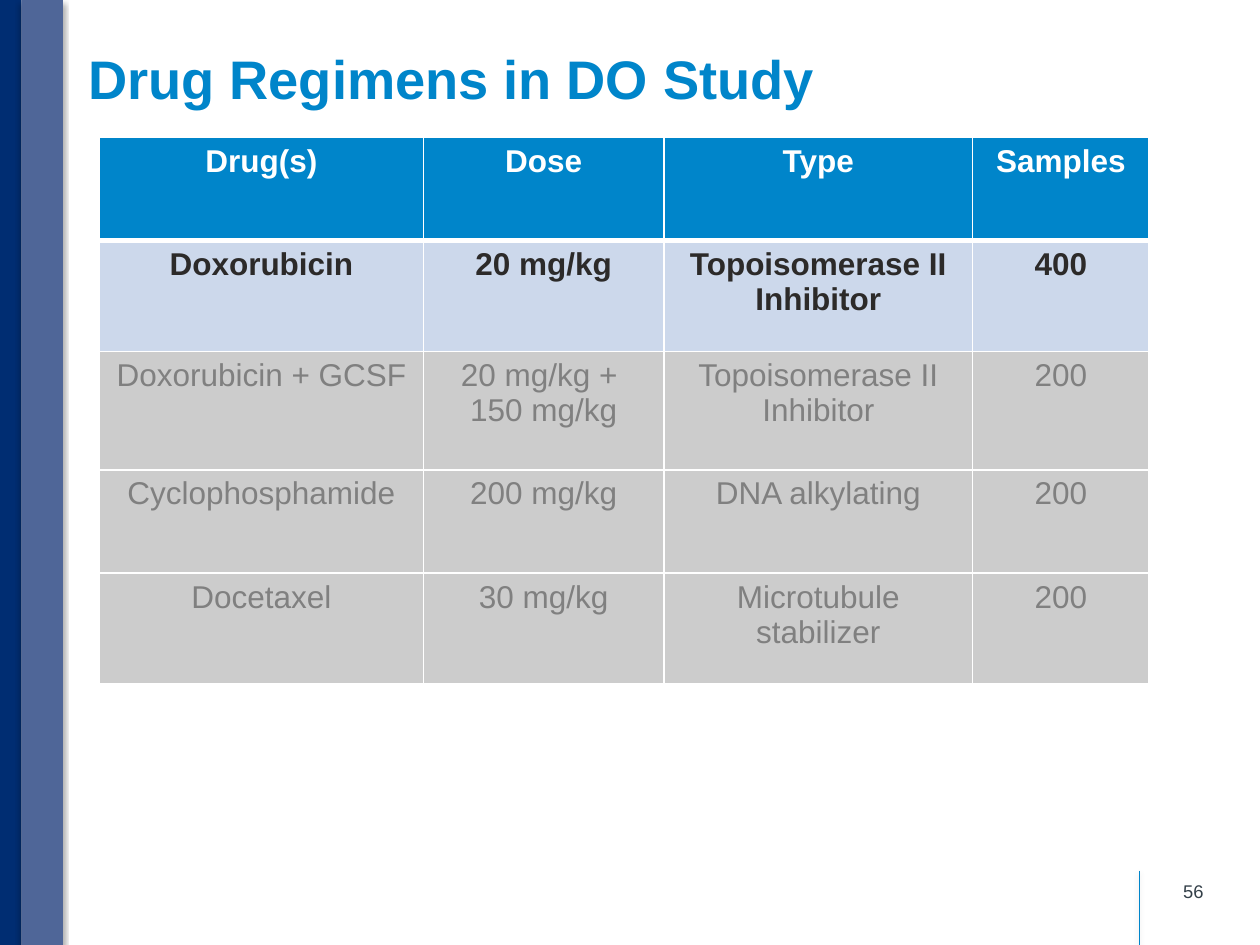
from pptx import Presentation
from pptx.dml.color import RGBColor as RGB
from pptx.enum.shapes import MSO_CONNECTOR as LINE, MSO_SHAPE as SHAPE
from pptx.enum.text import MSO_ANCHOR as ANCHOR, PP_ALIGN as ALIGN
from pptx.oxml import parse_xml
from pptx.oxml.ns import nsdecls
from pptx.util import Inches, Pt

TITLE = "Drug Regimens in DO Study"
PAGE = "56"
ROWS = [
    ("Drug(s)", "Dose", "Type", "Samples"),
    ("Doxorubicin", "20 mg/kg", "Topoisomerase II Inhibitor", "400"),
    ("Doxorubicin + GCSF", "20 mg/kg + \n150 mg/kg", "Topoisomerase II Inhibitor", "200"),
    ("Cyclophosphamide", "200 mg/kg", "DNA alkylating", "200"),
    ("Docetaxel", "30 mg/kg", "Microtubule stabilizer", "200"),
]
WIDE = [2.57, 1.91, 2.45, 1.4]
HIGH = [0.82, 0.88, 0.94, 0.82, 0.88]
W, H = 10, 7.5
BARS = [(0, 0.17, "navy"), (0.17, 0.33, "slate")]

THEME = {
    "font": "Arial",
    "navy": "002D72", "slate": "4F6698", "blue": "0085CA", "page": "333F48",
    "rule": "FFFFFF",
    "title": {"size": 31, "bold": True, "color": "0085CA"},
    "number": {"size": 10.5, "bold": False, "color": "333F48"},
    "head": {"size": 18, "bold": True, "color": "FFFFFF", "fill": "0085CA"},
    "focus": {"size": 18, "bold": True, "color": "2C2A29", "fill": "CCD8EB"},
    "muted": {"size": 18, "bold": False, "color": "808080", "fill": "CCCCCC"},
}
LOOKS = ["head", "focus"] + ["muted"] * (len(ROWS) - 2)


def apply(obj, attrs):
    for name, value in attrs.items():
        setattr(obj, name, value)


def paint(fill, color):
    fill.solid()
    fill.fore_color.rgb = RGB.from_string(color)


def write(frame, text, look, align, **attrs):
    apply(frame, {"text": text, "word_wrap": True, **attrs})
    for para in frame.paragraphs:
        para.alignment = align
        for run in para.runs:
            apply(run.font, {"name": THEME["font"], "size": Pt(look["size"]), "bold": look["bold"]})
            run.font.color.rgb = RGB.from_string(look["color"])


def shade(shape, dist, alpha):
    shape._element.spPr.append(parse_xml(
        f'<a:effectLst {nsdecls("a")}><a:outerShdw blurRad="{Pt(3.1)}" dist="{Pt(dist)}" '
        f'dir="5400000" rotWithShape="0"><a:srgbClr val="000000">'
        f'<a:alpha val="{alpha * 1000}"/></a:srgbClr></a:outerShdw></a:effectLst>'))


def edge(cell, sizes):
    for side, size in zip("LRTB", sizes):
        cell._tc.get_or_add_tcPr().append(parse_xml(
            f'<a:ln{side} {nsdecls("a")} w="{Pt(size)}"><a:solidFill>'
            f'<a:srgbClr val="{THEME["rule"]}"/></a:solidFill></a:ln{side}>'))


def frame_page(slide):
    rule = slide.shapes.add_connector(
        LINE.STRAIGHT, Inches(9.04), Inches(6.91), Inches(9.04), Inches(H))
    rule.line.width = Pt(0.25)
    rule.line.color.rgb = RGB.from_string(THEME["blue"])
    shade(rule, 1.6, 38)
    for left, width, color in BARS:
        bar = slide.shapes.add_shape(SHAPE.RECTANGLE, Inches(left), 0, Inches(width), Inches(H))
        paint(bar.fill, THEME[color])
        bar.line.fill.background()
        shade(bar, 1.8, 35)
    box = slide.shapes.add_textbox(Inches(7.32), Inches(6.87), Inches(2.33), Inches(0.4))
    write(box.text_frame, PAGE, THEME["number"], ALIGN.RIGHT, vertical_anchor=ANCHOR.MIDDLE)


def add_title(slide):
    title = slide.shapes.title
    apply(title, {"left": Inches(0.7), "top": Inches(0.3),
                  "width": Inches(9.03), "height": Inches(0.62)})
    write(title.text_frame, TITLE, THEME["title"], ALIGN.LEFT, vertical_anchor=ANCHOR.BOTTOM,
          margin_left=0, margin_top=Inches(0.04),
          margin_right=Inches(0.08), margin_bottom=Inches(0.04))


def add_grid(slide):
    grid = slide.shapes.add_table(
        len(ROWS), len(WIDE), Inches(0.79), Inches(1.09),
        Inches(sum(WIDE)), Inches(sum(HIGH))).table
    for col, width in zip(grid.columns, WIDE):
        col.width = Inches(width)
    for r, (row, high, name) in enumerate(zip(ROWS, HIGH, LOOKS)):
        grid.rows[r].height = Inches(high)
        for c, text in enumerate(row):
            cell, look = grid.cell(r, c), THEME[name]
            edge(cell, (0.96, 0.96, 3 if r == 1 else 0.96, 3 if r == 0 else 0.96))
            paint(cell.fill, look["fill"])
            write(cell.text_frame, text, look, ALIGN.CENTER)


def main():
    deck = Presentation()
    apply(deck, {"slide_width": Inches(W), "slide_height": Inches(H)})
    slide = deck.slides.add_slide(deck.slide_layouts[5])
    frame_page(slide)
    add_title(slide)
    add_grid(slide)
    deck.save("out.pptx")


if __name__ == "__main__":
    main()
